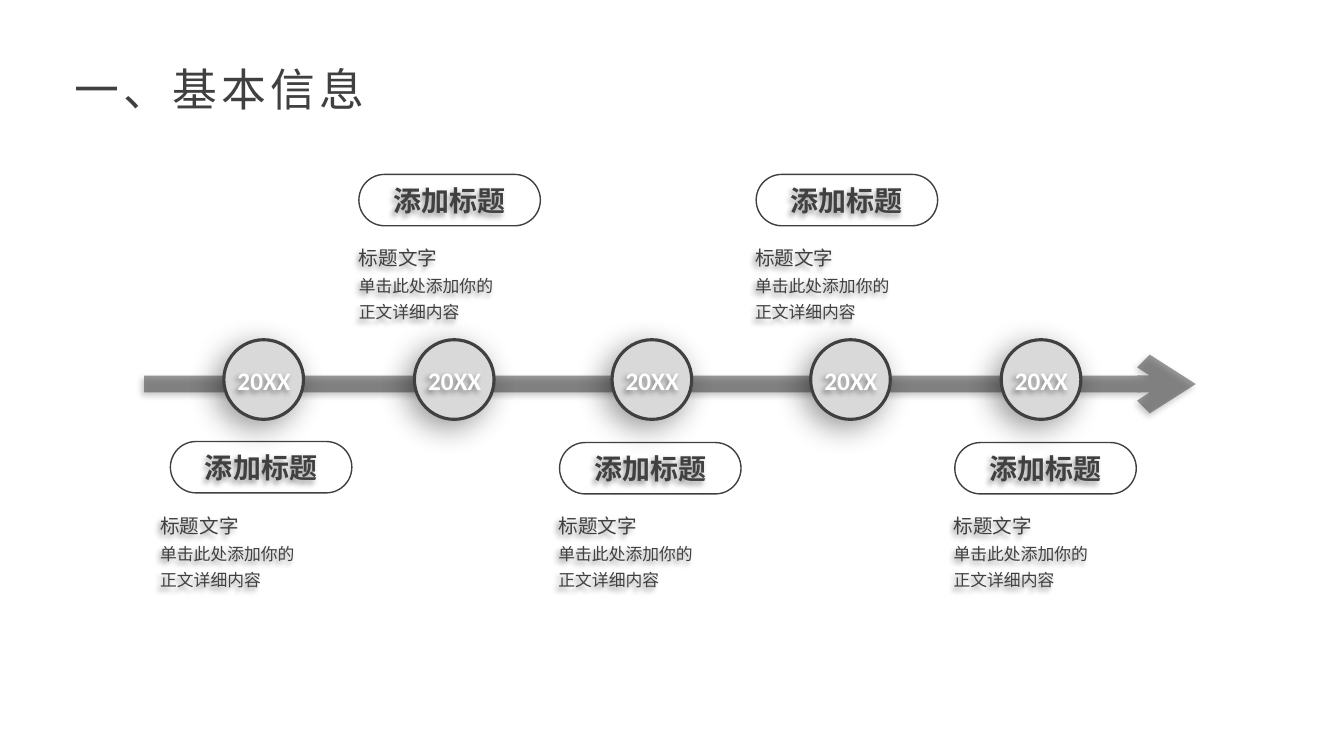
from lxml import etree
from pptx import Presentation
from pptx.dml.color import RGBColor
from pptx.enum import shapes, text
from pptx.oxml import ns
from pptx.util import Inches, Pt

COLORS = {"dark": "404040", "disc": "D9D9D9", "white": "FFFFFF", "shadow": "000000"}
FONT = "Calibri"
DISC = 0.79
PILL_W, PILL_H = 1.8, 0.51
BODY = [("标题文字", 14), ("单击此处添加你的", 12), ("正文详细内容", 12)]

# disc left, pill left, pill top, body left, body top
STEPS = [
    (2.22, 1.69, 4.38, 1.49, 4.98),
    (4.11, 3.56, 1.73, 3.46, 2.32),
    (6.07, 5.55, 4.39, 5.44, 4.98),
    (8.04, 7.5, 1.73, 7.39, 2.32),
    (9.93, 9.47, 4.39, 9.36, 4.98),
]


def rgb(name):
    return RGBColor.from_string(COLORS[name])


def sub(parent, tag, **attrs):
    el = etree.SubElement(parent, ns.qn(tag))
    for key, value in attrs.items():
        el.set(key, str(value))
    return el


def add_shadow(sp, blur, dist):
    """Black shadow at 40 % opacity, cast to the lower left."""
    effects = sub(sp._element.spPr, "a:effectLst")
    outer = sub(effects, "a:outerShdw", blurRad=Pt(blur), dist=Pt(dist),
                dir=135 * 60000, algn="tr", rotWithShape=0)
    color = sub(outer, "a:srgbClr", val=COLORS["shadow"])
    sub(color, "a:alpha", val=40000)


def add_text(parent, box, lines, color="dark", bold=False, align=None,
             inset=0, spacing=None, shadow=True):
    sp = parent.add_textbox(*map(Inches, box))
    tf = sp.text_frame
    tf.word_wrap = True
    tf.auto_size = text.MSO_AUTO_SIZE.SHAPE_TO_FIT_TEXT
    tf.margin_left = tf.margin_right = Inches(inset)
    tf.margin_top = tf.margin_bottom = Inches(inset / 2)
    for i, (line, size) in enumerate(lines):
        p = tf.add_paragraph() if i else tf.paragraphs[0]
        p.text = line
        p.alignment = align
        p.line_spacing = spacing
        p.font.name = FONT
        p.font.size = Pt(size)
        p.font.bold = bold
        p.font.color.rgb = rgb(color)
    if shadow:
        add_shadow(sp, 4, 3)
    return sp


def add_arrow(slide):
    sp = slide.shapes.add_connector(
        shapes.MSO_CONNECTOR.STRAIGHT,
        Inches(1.43), Inches(3.81), Inches(11.86), Inches(3.81))
    sp.line.width = Pt(12)
    sp.line.color.rgb = rgb("dark")
    ln = sp.line._get_or_add_ln()
    sub(ln.find(".//" + ns.qn("a:srgbClr")), "a:alpha", val=53000)
    sub(ln, "a:tailEnd", type="arrow")
    add_shadow(sp, 4, 3)


def add_disc(slide, x):
    group = slide.shapes.add_group_shape()
    sp = group.shapes.add_shape(shapes.MSO_SHAPE.OVAL, Inches(x), Inches(3.37),
                                Inches(DISC), Inches(DISC))
    sp.fill.solid()
    sp.fill.fore_color.rgb = rgb("disc")
    sp.line.color.rgb = rgb("dark")
    sp.line.width = Pt(2.25)
    add_shadow(sp, 22, 7)
    add_text(group.shapes, (x + 0.08, 3.62, 0.64, 0.3), [("20XX", 18)],
             color="white", bold=True, align=text.PP_ALIGN.CENTER)


def add_pill(slide, x, y):
    add_text(slide.shapes, (x + 0.23, y + 0.09, 1.34, 0.34), [("添加标题", 20)],
             bold=True, align=text.PP_ALIGN.CENTER)
    sp = slide.shapes.add_shape(shapes.MSO_SHAPE.ROUNDED_RECTANGLE, Inches(x),
                                Inches(y), Inches(PILL_W), Inches(PILL_H))
    sp.adjustments[0] = 0.5
    sp.fill.background()
    sp.line.color.rgb = rgb("dark")
    sp.line.width = Pt(1)
    sp.shadow.inherit = False


def main():
    prs = Presentation()
    prs.slide_width, prs.slide_height = Inches(13.33), Inches(7.5)
    slide = prs.slides.add_slide(prs.slide_layouts[6])

    # Timeline
    add_arrow(slide)
    for disc_x, pill_x, pill_y, body_x, body_y in STEPS:
        add_disc(slide, disc_x)
        add_pill(slide, pill_x, pill_y)
        add_text(slide.shapes, (body_x, body_y, 1.99, 0.93), BODY,
                 align=text.PP_ALIGN.JUSTIFY, inset=0.1, spacing=1.3)

    # Slide title with wide letter spacing
    title = add_text(slide.shapes, (0.64, 0.56, 3.67, 0.64),
                     [("一、基本信息", 32)], inset=0.1, shadow=False)
    r = title.text_frame.paragraphs[0].runs[0]
    r.font._element.set("spc", "300")

    prs.save("out.pptx")


if __name__ == "__main__":
    main()
